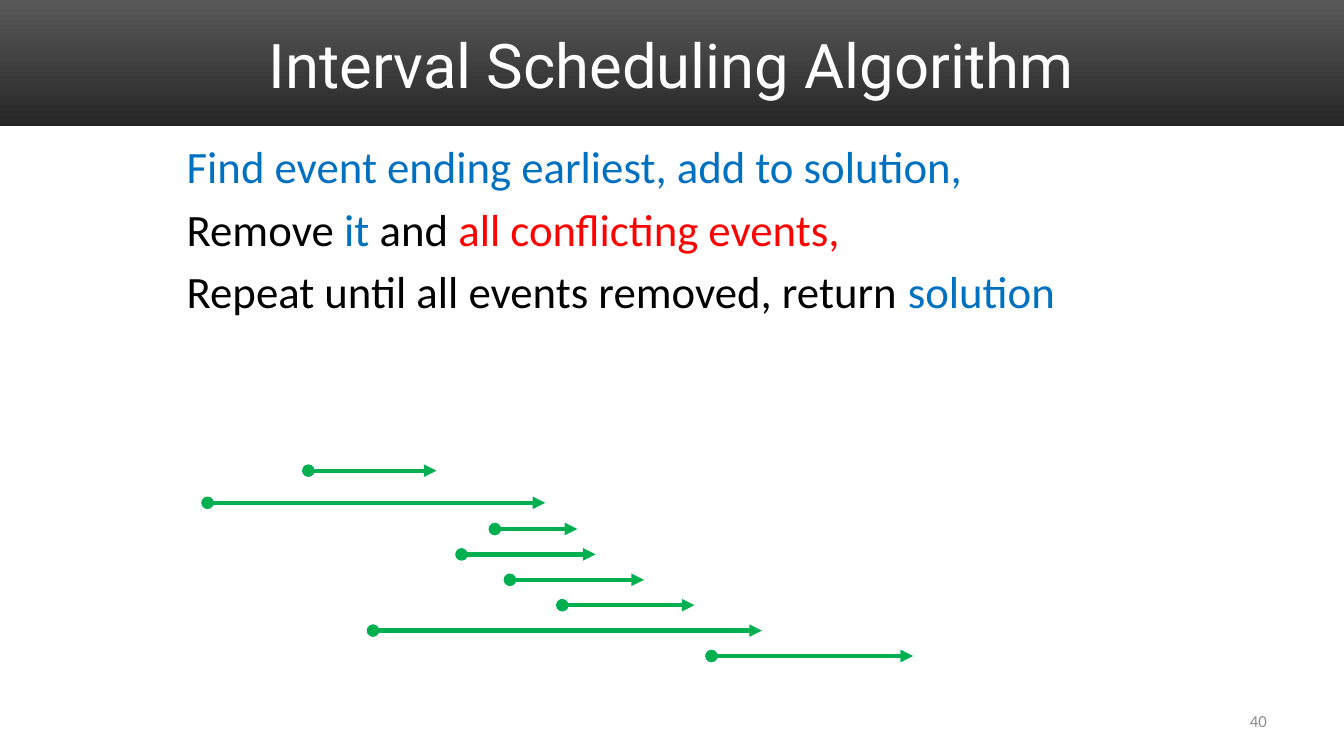
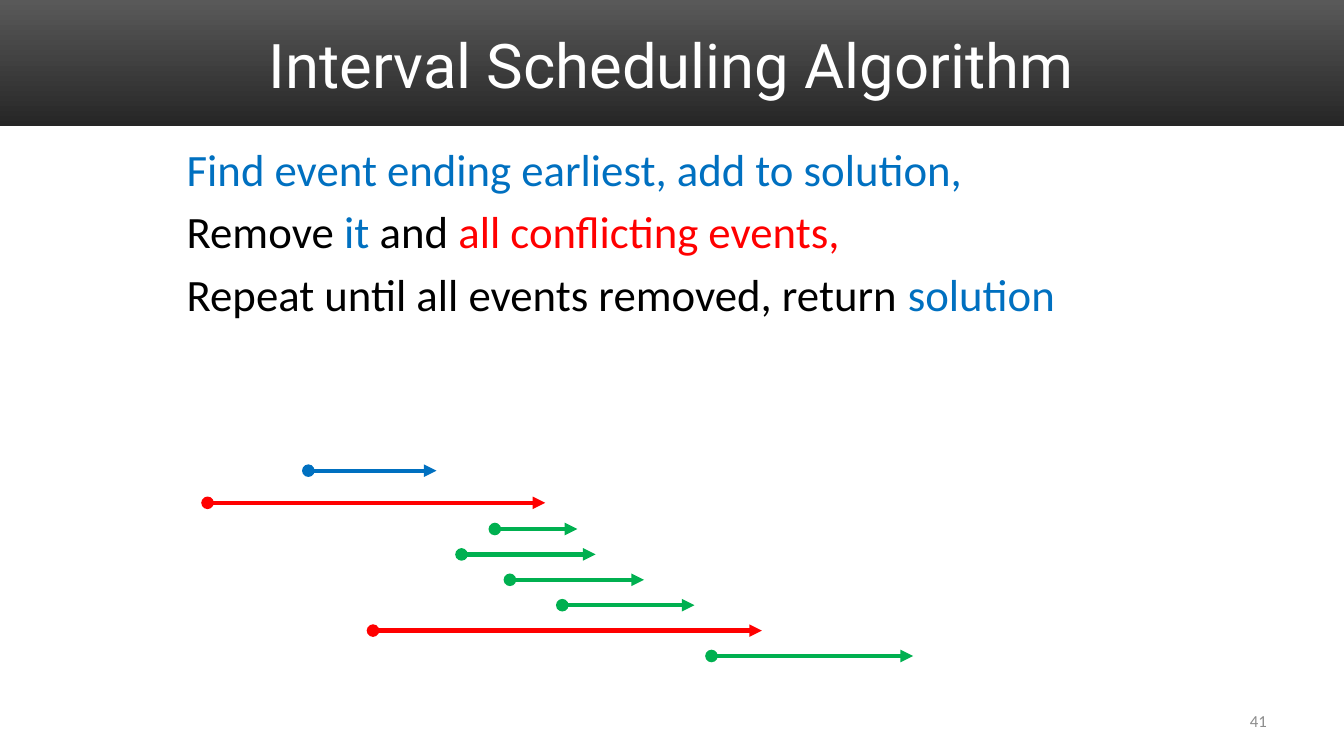
from typing import NamedTuple

from lxml import etree
from pptx import Presentation
from pptx.dml.color import RGBColor
from pptx.enum.shapes import MSO_CONNECTOR, MSO_SHAPE
from pptx.enum.text import MSO_ANCHOR, MSO_AUTO_SIZE, PP_ALIGN
from pptx.oxml.ns import qn
from pptx.slide import Slide, SlideLayout
from pptx.util import Cm, Pt

STRAIGHT = MSO_CONNECTOR.STRAIGHT
RECTANGLE = MSO_SHAPE.RECTANGLE
TOP, MIDDLE = MSO_ANCHOR.TOP, MSO_ANCHOR.MIDDLE
CENTER, RIGHT = PP_ALIGN.CENTER, PP_ALIGN.RIGHT
NO_AUTOFIT = MSO_AUTO_SIZE.NONE

WHITE = RGBColor(0xFF, 0xFF, 0xFF)
BLACK = RGBColor(0x00, 0x00, 0x00)
BLUE = RGBColor(0x00, 0x70, 0xC0)
RED = RGBColor(0xFF, 0x00, 0x00)
GREEN = RGBColor(0x00, 0xB0, 0x50)
GRAY = RGBColor(0x8C, 0x8C, 0x8C)
BAND_COLORS = (RGBColor(0x59, 0x59, 0x59), RGBColor(0x26, 0x26, 0x26))

TITLE_FONT, BODY_FONT = "Roboto", "Calibri"
SLIDE_WIDTH, SLIDE_HEIGHT = Cm(33.87), Cm(19.05)
TITLE = "Interval Scheduling Algorithm"


class TextPart(NamedTuple):
    text: str
    color: RGBColor = BLACK


class Event(NamedTuple):
    """A time interval; all lengths are in centimetres."""
    start: float
    end: float
    row: float


class Step(NamedTuple):
    number: int
    anchor: MSO_ANCHOR
    has_choice: bool


ALGORITHM = (
    (TextPart("Find event ending earliest, add to solution,", BLUE),),
    (TextPart("Remove "), TextPart("it", BLUE), TextPart(" and"),
     TextPart(" all conflicting events,", RED)),
    (TextPart("Repeat until all events removed, return "),
     TextPart("solution", BLUE)),
)

STACKED_SPANS = ((12.47, 14.55), (11.63, 15.01), (12.85, 16.23),
                 (14.17, 17.5), (9.4, 19.2), (17.93, 23.01))
EVENTS = [Event(7.77, 11, 11.86), Event(5.23, 13.74, 12.67)] + [
    Event(start, end, 13.33 + 0.64 * index)
    for index, (start, end) in enumerate(STACKED_SPANS)
]

STEPS = (Step(40, TOP, False), Step(41, MIDDLE, True))


def place_layout_placeholders(layout: SlideLayout) -> None:
    boxes = {0: (1.69, 0.43, 30.48, 2.34), 1: (4.45, 3.38, 25.12, 4.88)}
    for placeholder in layout.placeholders:
        box = boxes.get(placeholder.placeholder_format.idx)
        if box:
            (placeholder.left, placeholder.top,
             placeholder.width, placeholder.height) = map(Cm, box)


def add_layout_band(layout: SlideLayout, slide: Slide) -> None:
    """Make the title band on a slide, then move it behind all in the layout."""
    band = slide.shapes.add_shape(RECTANGLE, 0, 0, SLIDE_WIDTH, Cm(3.18))
    band.shadow.inherit = False
    band.line.fill.background()
    band.fill.gradient()
    band.fill.gradient_angle = 270
    for stop, color in zip(band.fill.gradient_stops, BAND_COLORS):
        stop.color.rgb = color
    layout.shapes.element.insert(2, band.element)


def add_title(slide: Slide) -> None:
    title = slide.shapes.title
    title.text = TITLE
    frame = title.text_frame
    frame.vertical_anchor = MIDDLE
    frame.auto_size = NO_AUTOFIT
    paragraph = frame.paragraphs[0]
    paragraph.alignment = CENTER
    paragraph.font.name = TITLE_FONT
    paragraph.font.size = Pt(44)
    paragraph.font.color.rgb = WHITE


def add_algorithm(slide: Slide, anchor: MSO_ANCHOR) -> None:
    frame = slide.placeholders[1].text_frame
    frame.vertical_anchor = anchor
    frame.auto_size = NO_AUTOFIT
    for index, parts in enumerate(ALGORITHM):
        paragraph = frame.add_paragraph() if index else frame.paragraphs[0]
        paragraph.space_before = Pt(6 if index else 0)
        properties = paragraph._p.get_or_add_pPr()
        properties.set("marL", "0")
        properties.set("indent", "0")
        etree.SubElement(properties, qn("a:buNone"))
        paragraph.font.name = BODY_FONT
        paragraph.font.size = Pt(32)
        for part in parts:
            run = paragraph.add_run()
            run.text = part.text
            run.font.color.rgb = part.color


def add_slide_number(slide: Slide, number: int) -> None:
    box = slide.shapes.add_textbox(Cm(24.28), Cm(17.65), Cm(7.9), Cm(1.02))
    frame = box.text_frame
    frame.word_wrap = True
    frame.vertical_anchor = MIDDLE
    paragraph = frame.paragraphs[0]
    paragraph.text = str(number)
    paragraph.alignment = RIGHT
    paragraph.font.name = BODY_FONT
    paragraph.font.size = Pt(12)
    paragraph.font.color.rgb = GRAY


def event_color(event: Event, has_choice: bool) -> RGBColor:
    """Blue for the event ending earliest, red for those that overlap it."""
    earliest = min(EVENTS, key=lambda candidate: candidate.end)
    if not has_choice or event.start >= earliest.end:
        return GREEN
    return BLUE if event == earliest else RED


def add_event(slide: Slide, event: Event, color: RGBColor) -> None:
    arrow = slide.shapes.add_connector(
        STRAIGHT, Cm(event.start), Cm(event.row), Cm(event.end), Cm(event.row))
    arrow.line.color.rgb = color
    arrow.line.width = Pt(3)
    line = arrow.line._get_or_add_ln()
    etree.SubElement(line, qn("a:headEnd"), type="oval")
    etree.SubElement(line, qn("a:tailEnd"), type="triangle")
    etree.SubElement(arrow.element.spPr, qn("a:effectLst"))


def main() -> None:
    presentation = Presentation()
    presentation.slide_width = SLIDE_WIDTH
    presentation.slide_height = SLIDE_HEIGHT
    layout = presentation.slide_layouts[1]
    place_layout_placeholders(layout)

    slides = [presentation.slides.add_slide(layout) for _ in STEPS]
    add_layout_band(layout, slides[0])
    for slide, step in zip(slides, STEPS):
        add_title(slide)
        add_algorithm(slide, step.anchor)
        add_slide_number(slide, step.number)
        for event in EVENTS:
            add_event(slide, event, event_color(event, step.has_choice))
    presentation.save("out.pptx")


if __name__ == "__main__":
    main()
